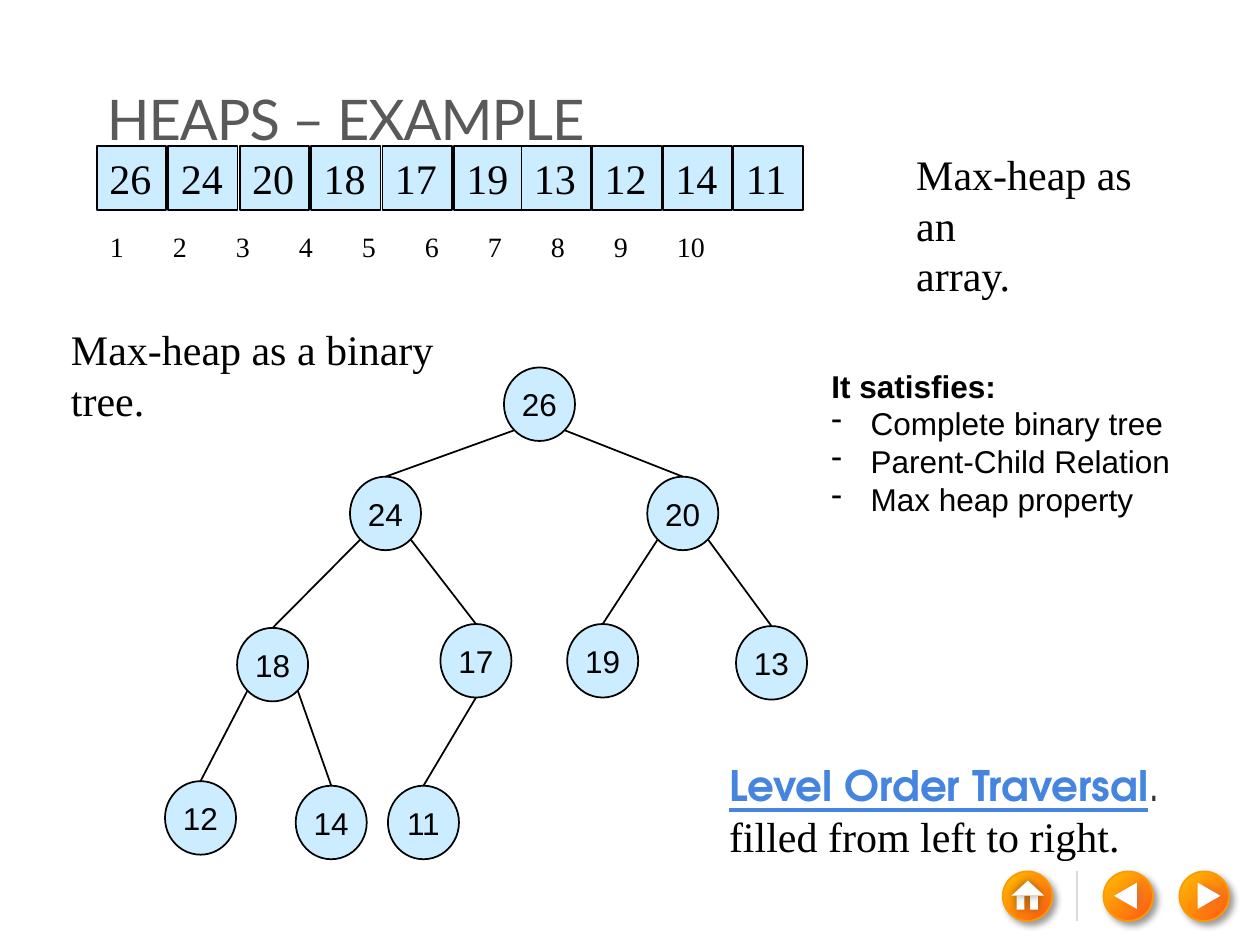
from math import sqrt

from lxml.etree import SubElement
from pptx import Presentation
from pptx.dml.color import RGBColor
from pptx.enum.shapes import MSO_CONNECTOR, MSO_SHAPE
from pptx.enum.text import MSO_ANCHOR, PP_ALIGN
from pptx.oxml.ns import qn
from pptx.util import Pt

BLACK = RGBColor(0x00, 0x00, 0x00)
WHITE = RGBColor(0xFF, 0xFF, 0xFF)
TITLE_GRAY = RGBColor(0x59, 0x59, 0x59)
RULE_GRAY = RGBColor(0xD9, 0xD9, 0xD9)
PALE_BLUE = RGBColor(0xCC, 0xEC, 0xFF)
LINK_BLUE = RGBColor(0x46, 0x85, 0xDF)
SLATE = RGBColor(0x27, 0x32, 0x39)
DEEP_ORANGE = RGBColor(0xFE, 0x58, 0x15)
AMBER = RGBColor(0xFF, 0xC0, 0x00)
RIM_ORANGE = RGBColor(0xFF, 0x99, 0x00)
RUST = RGBColor(0xD3, 0x56, 0x41)

SERIF, SANS = "Times New Roman", "Arial"
HEAP = [26, 24, 20, 18, 17, 19, 13, 12, 14, 11]
NODE_WIDTH, NODE_HEIGHT = 40.6, 42
NODE_SPOTS = [(193.7, 0), (105.7, 62.4), (275.6, 62.4), (41.2, 148.8), (157.4, 146.6),
              (229.8, 146.6), (326.3, 147.8), (0, 236.4), (74.7, 239), (127.4, 239)]


def style_font(font, name, size, color, bold=False):
    """Set the face, size, colour and weight of a font."""
    font.name, font.size, font.bold = name, Pt(size), bold
    font.color.rgb = color


def add_figure(slide, kind, left, top, width, height, fill, outline=None):
    """Add a preset shape without shadow, with a fill and an optional thin outline."""
    figure = slide.shapes.add_shape(kind, Pt(left), Pt(top), Pt(width), Pt(height))
    figure.shadow.inherit = False
    figure.fill.solid()
    figure.fill.fore_color.rgb = fill
    if outline is None:
        figure.line.fill.background()
    else:
        figure.line.color.rgb = outline
        figure.line.width = Pt(1)
    return figure


def add_edge(slide, start, end, color):
    """Draw a thin straight line between two points."""
    edge = slide.shapes.add_connector(MSO_CONNECTOR.STRAIGHT, *map(Pt, start + end))
    edge.line.color.rgb = color
    edge.line.width = Pt(1)
    SubElement(edge._element.spPr, qn("a:effectLst"))


def cast_shadow(figure, color, blur, distance, degrees):
    """Give a shape a soft outer shadow at 40 percent opacity."""
    effects = figure._element.spPr.find(qn("a:effectLst"))
    shadow = SubElement(effects, qn("a:outerShdw"), blurRad=str(Pt(blur)),
                        dist=str(Pt(distance)), dir=str(degrees * 60000),
                        algn="ctr", rotWithShape="0")
    tint = SubElement(shadow, qn("a:srgbClr"), val=str(color))
    SubElement(tint, qn("a:alpha"), val="40000")


def label_figure(figure, value, face, size, alignment, anchor):
    """Write a value into a shape."""
    frame = figure.text_frame
    frame.word_wrap = False
    frame.vertical_anchor = anchor
    paragraph = frame.paragraphs[0]
    paragraph.text = str(value)
    paragraph.alignment = alignment
    style_font(paragraph.font, face, size, BLACK)


def add_lines(slide, left, top, width, height, lines, face, size, color=BLACK, wrap=False):
    """Add a text box with one paragraph for each line and return its frame."""
    frame = slide.shapes.add_textbox(Pt(left), Pt(top), Pt(width), Pt(height)).text_frame
    frame.word_wrap = wrap
    frame.text = "\n".join(lines)
    for paragraph in frame.paragraphs:
        style_font(paragraph.font, face, size, color)
    return frame


def add_button(slide, left, top):
    """Add a round glowing button."""
    button = add_figure(slide, MSO_SHAPE.OVAL, left, top, 28.3, 28.3, AMBER, RIM_ORANGE)
    button.fill.gradient()
    for stop, color in zip(button.fill.gradient_stops, (DEEP_ORANGE, AMBER)):
        stop.color.rgb = color
    gradient = button._element.spPr.find(qn("a:gradFill"))
    gradient.remove(gradient.find(qn("a:lin")))
    glow = SubElement(gradient, qn("a:path"), path="circle")
    SubElement(glow, qn("a:fillToRect"), l="100000", t="100000")
    cast_shadow(button, BLACK, 4, 3, 45)


def add_navigation(slide, left, top):
    """Place the home, back and forward buttons and the rule between them."""
    for offset, arrow_inset, turn in ((101, 9.4, 90), (57.6, 5, 270)):
        add_button(slide, left + offset, top)
        arrow = add_figure(slide, MSO_SHAPE.ISOSCELES_TRIANGLE, left + offset + arrow_inset,
                           top + 7.4, 15, 13, WHITE)
        arrow.rotation = turn
        cast_shadow(arrow, RUST, 4, 3, 0)
    add_button(slide, left, top)
    for kind, x, y, width, height in (
        (MSO_SHAPE.RECTANGLE, 15.7, 13.8, 4.4, 8),
        (MSO_SHAPE.RECTANGLE, 8, 13.8, 4.4, 8),
        (MSO_SHAPE.ISOSCELES_TRIANGLE, 5, 5.2, 18.7, 8.6),
    ):
        house_part = add_figure(slide, kind, left + x, top + y, width, height, WHITE)
        cast_shadow(house_part, BLACK, 5, 0, 0)
    add_edge(slide, (left + 42.6, top), (left + 42.6, top + 28.3), RULE_GRAY)


def add_title(slide, left, top, width, height):
    """Place the slide title."""
    frame = add_lines(slide, left, top, width, height, ["HEAPS – EXAMPLE"],
                      "Lato", 32, TITLE_GRAY, wrap=True)
    frame.vertical_anchor = MSO_ANCHOR.BOTTOM
    frame.paragraphs[0].runs[0]._r.get_or_add_rPr().set("spc", "-60")


def add_array(slide, left, top):
    """Place the heap as a row of cells above their indices."""
    for position, value in enumerate(HEAP):
        offset = 40.8 * position if position < 6 else 242.6 + 40.4 * (position - 6)
        cell = add_figure(slide, MSO_SHAPE.RECTANGLE, left + offset, top, 39.6, 36.7,
                          PALE_BLUE, BLACK)
        label_figure(cell, value, SERIF, 24, PP_ALIGN.LEFT, MSO_ANCHOR.TOP)
    frame = slide.shapes.add_textbox(Pt(left - 3.6), Pt(top + 43.9), Pt(448), Pt(26.6)).text_frame
    frame.word_wrap = True
    indices = frame.paragraphs[0]
    indices.text = "\t".join(str(number + 1) for number in range(len(HEAP)))
    properties = indices._p.get_or_add_pPr()
    properties.set("marL", str(Pt(4)))
    properties.set("indent", "0")
    stops = SubElement(properties, qn("a:tabLst"))
    for stop in (52, 92, 132, 176, 216, 260, 300, 340, 376):
        SubElement(stops, qn("a:tab"), pos=str(Pt(stop)), algn="l")
    style_font(indices.font, SERIF, 16, BLACK)


def add_tree(slide, left, top):
    """Place the heap as a binary tree, with edges from each parent to its children."""
    centers = []
    for value, (x, y) in zip(HEAP, NODE_SPOTS):
        node = add_figure(slide, MSO_SHAPE.OVAL, left + x, top + y, NODE_WIDTH, NODE_HEIGHT,
                          PALE_BLUE, BLACK)
        label_figure(node, value, SANS, 18, PP_ALIGN.CENTER, MSO_ANCHOR.MIDDLE)
        centers.append((left + x + NODE_WIDTH / 2, top + y + NODE_HEIGHT / 2))
    for child in range(1, len(HEAP)):
        x, y = centers[(child - 1) // 2]
        only_child = child % 2 == 1 and child == len(HEAP) - 1
        side = 0 if only_child else (-1 if child % 2 else 1)
        drop = 1 if only_child else 1 / sqrt(2)
        start = (x + side * NODE_WIDTH / 2 / sqrt(2), y + drop * NODE_HEIGHT / 2)
        child_x, child_y = centers[child]
        add_edge(slide, start, (child_x, child_y - NODE_HEIGHT / 2), BLACK)


def add_traversal(slide, left, top, width, height):
    """Place the note on the order in which the tree is filled."""
    frame = add_lines(slide, left, top, width, height, ["", "filled from left to right."],
                      SERIF, 24)
    heading = frame.paragraphs[0]
    term, stop = heading.add_run(), heading.add_run()
    term.text, stop.text = "Level Order Traversal", ". "
    style_font(term.font, "TeX Gyre Adventor", 24, LINK_BLUE, bold=True)
    term.font.underline = True
    style_font(stop.font, "TeX Gyre Adventor", 24, SLATE)


def add_properties(slide, left, top, width, height):
    """Place the list of heap properties under its heading."""
    frame = slide.shapes.add_textbox(Pt(left), Pt(top), Pt(width), Pt(height)).text_frame
    frame.word_wrap = False
    frame.text = "It satisfies:\nComplete binary tree\nParent-Child Relation\nMax heap property"
    heading, *entries = frame.paragraphs
    style_font(heading.font, SANS, 18, BLACK, bold=True)
    for entry in entries:
        properties = entry._p.get_or_add_pPr()
        properties.set("marL", str(Pt(22.5)))
        properties.set("indent", str(-Pt(22.5)))
        SubElement(properties, qn("a:buChar"), char="-")
        style_font(entry.font, SANS, 18, BLACK)


def main():
    """Build the slide and save it."""
    deck = Presentation()
    deck.slide_width, deck.slide_height = Pt(720), Pt(540)
    slide = deck.slides.add_slide(deck.slide_layouts[6])
    add_navigation(slide, 573, 498)
    add_title(slide, 54, 24, 600, 66)
    add_array(slide, 55.4, 83.5)
    add_tree(slide, 94.3, 210)
    add_lines(slide, 516.5, 81.4, 166, 65, ["Max-heap as an", "array."], SERIF, 24)
    add_lines(slide, 33.5, 181.4, 222, 65, ["Max-heap as a binary", "tree."], SERIF, 24)
    add_traversal(slide, 409.5, 430.6, 276, 65.5)
    add_properties(slide, 468, 206, 210, 94.5)
    deck.save("out.pptx")


if __name__ == "__main__":
    main()
